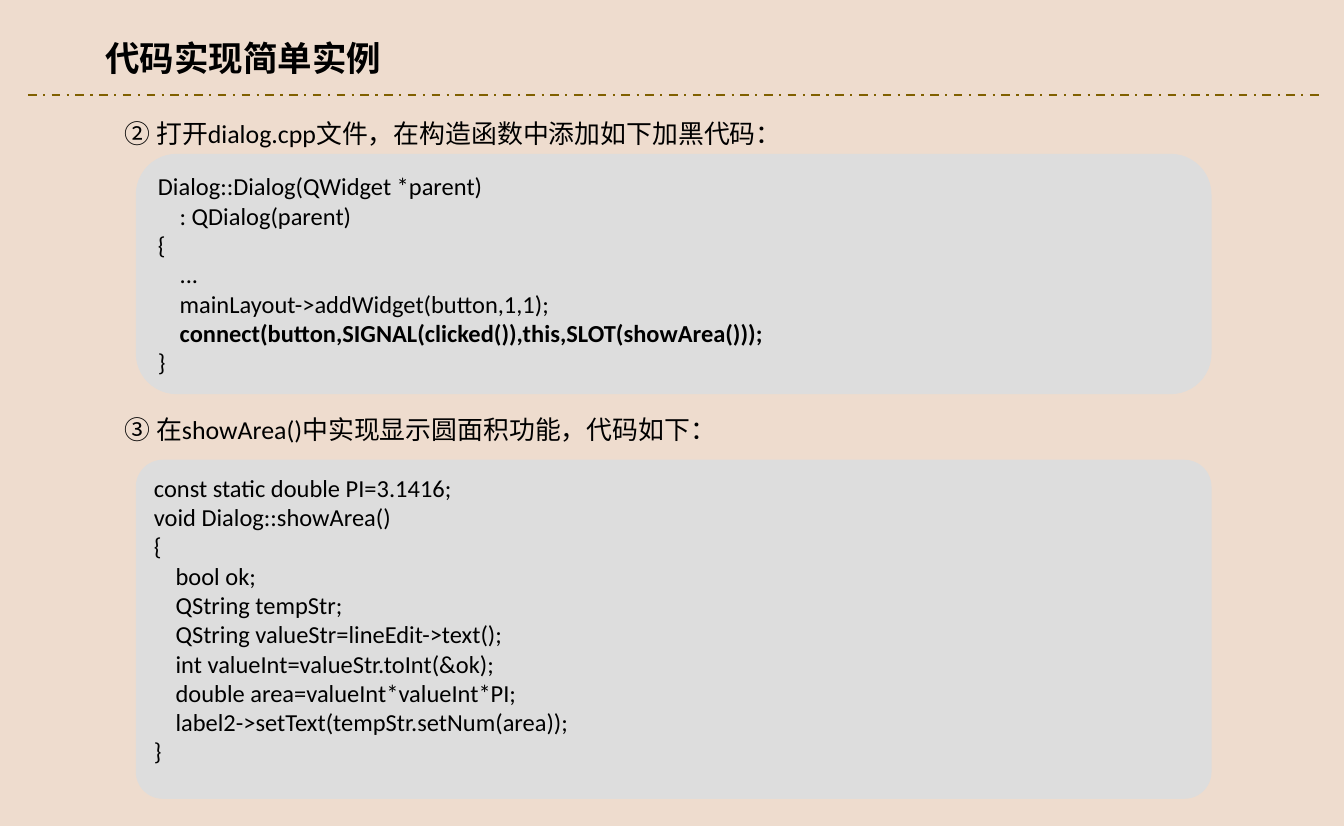
from dataclasses import dataclass

from lxml import etree
from pptx import Presentation, util as u
from pptx.dml.color import RGBColor
from pptx.enum import dml, shapes, text
from pptx.oxml.ns import qn

SLIDE_WIDTH, SLIDE_HEIGHT = u.Pt(935.5), u.Pt(575.25)
CELL = 0.1  # inches per grid column and row
FONT = "Calibri"
CODE_SIZE = 17
CODE_INDENT = u.Inches(0.21)
COLORS = {"background": "EEDCCE", "panel": "DDDDDD", "rule": "806000", "text": "000000"}


@dataclass
class Box:
    col: float
    row: float
    cols: float
    rows: float

    def lengths(self) -> list[int]:
        return [grid(n) for n in (self.col, self.row, self.cols, self.rows)]


@dataclass
class Label:
    box: Box
    words: str
    size: int
    bold: bool = False


@dataclass
class Line:
    code: str
    level: int = 0
    bold: bool = False


@dataclass
class Panel:
    box: Box
    corner: float
    anchor: text.MSO_ANCHOR
    lines: list[Line]


LABELS = [
    Label(Box(9.2, 3.1, 28.9, 5), "代码实现简单实例", 24, True),
    Label(Box(11.05, 10.9, 66.2, 4), "② 打开dialog.cpp文件，在构造函数中添加如下加黑代码：", 18),
    Label(Box(11.05, 39.5, 59.8, 4), "③ 在showArea()中实现显示圆面积功能，代码如下：", 18),
]

PANELS = [
    Panel(Box(13.13, 14.88, 104, 23.25), 0.17, text.MSO_ANCHOR.MIDDLE, [
        Line("Dialog::Dialog(QWidget *parent)"),
        Line(": QDialog(parent)", 1),
        Line("{"),
        Line("...", 1),
        Line("mainLayout->addWidget(button,1,1);", 1),
        Line("connect(button,SIGNAL(clicked()),this,SLOT(showArea()));", 1, True),
        Line("}"),
    ]),
    Panel(Box(13.13, 44.47, 104, 32.8), 0.08, text.MSO_ANCHOR.TOP, [
        Line("const static double PI=3.1416;"),
        Line("void Dialog::showArea()"),
        Line("{"),
        Line("bool ok;", 1),
        Line("QString tempStr;", 1),
        Line("QString valueStr=lineEdit->text();", 1),
        Line("int valueInt=valueStr.toInt(&ok);", 1),
        Line("double area=valueInt*valueInt*PI;", 1),
        Line("label2->setText(tempStr.setNum(area));", 1),
        Line("}"),
    ]),
]


def grid(n: float) -> int:
    return u.Inches(n * CELL)


def color(name: str) -> RGBColor:
    return RGBColor.from_string(COLORS[name])


def write(p, words: str, size: int, bold: bool) -> None:
    p.text = words
    p.alignment = text.PP_ALIGN.LEFT
    p.font.name = FONT
    p.font.size = u.Pt(size)
    p.font.bold = bold
    p.font.color.rgb = color("text")


def draw_rule(s) -> None:
    rule = s.shapes.add_connector(
        shapes.MSO_CONNECTOR.STRAIGHT, grid(2.7), grid(9.2), grid(127.9), grid(9.2))
    rule.line.color.rgb = color("rule")
    rule.line.width = u.Pt(1.5)
    rule.line.dash_style = dml.MSO_LINE.DASH_DOT
    etree.SubElement(rule.element.spPr, qn("a:effectLst"))


def draw_label(s, label: Label) -> None:
    tf = s.shapes.add_textbox(*label.box.lengths()).text_frame
    tf.word_wrap = False
    tf.auto_size = text.MSO_AUTO_SIZE.SHAPE_TO_FIT_TEXT
    write(tf.paragraphs[0], label.words, label.size, label.bold)


def draw_panel(s, panel: Panel) -> None:
    sp = s.shapes.add_shape(shapes.MSO_SHAPE.ROUNDED_RECTANGLE, *panel.box.lengths())
    sp.adjustments[0] = panel.corner
    sp.shadow.inherit = False
    sp.fill.solid()
    sp.fill.fore_color.rgb = color("panel")
    sp.line.fill.background()
    tf = sp.text_frame
    tf.word_wrap = True
    tf.vertical_anchor = panel.anchor
    for i, line in enumerate(panel.lines):
        p = tf.add_paragraph() if i else tf.paragraphs[0]
        write(p, line.code, CODE_SIZE, line.bold)
        p._p.get_or_add_pPr().set("marL", str(line.level * CODE_INDENT))


def main() -> None:
    prs = Presentation()
    prs.slide_width, prs.slide_height = SLIDE_WIDTH, SLIDE_HEIGHT
    s = prs.slides.add_slide(prs.slide_layouts[6])
    s.background.fill.solid()
    s.background.fill.fore_color.rgb = color("background")

    # Rule under the title
    draw_rule(s)

    # Code panels
    for panel in PANELS:
        draw_panel(s, panel)

    # Title and step headings
    for label in LABELS:
        draw_label(s, label)

    prs.save("out.pptx")


if __name__ == "__main__":
    main()
